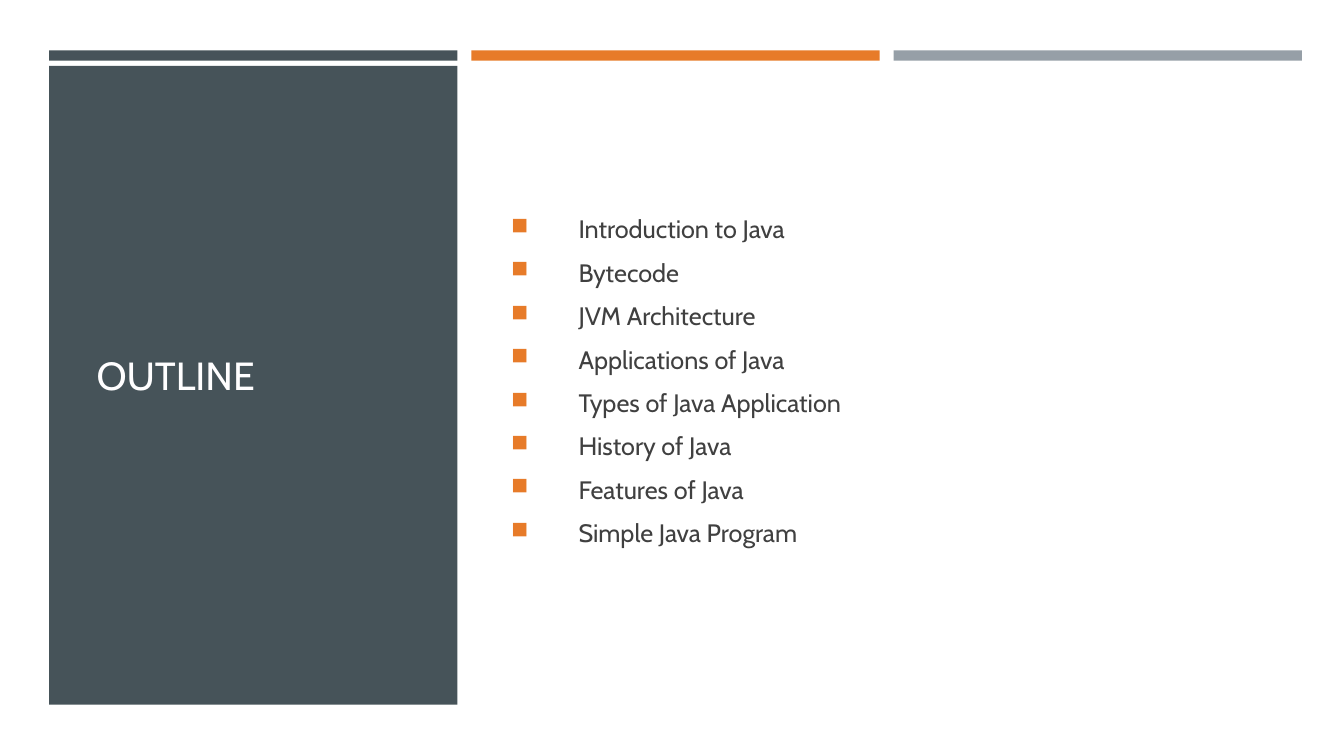
import pptx
import pptx.util
import pptx.dml.color
import pptx.enum.shapes
import pptx.enum.text
import lxml.etree
from pptx.util import Cm

SLATE = pptx.dml.color.RGBColor(0x46, 0x53, 0x59)
ORANGE = pptx.dml.color.RGBColor(0xE7, 0x7B, 0x29)
GREY = pptx.dml.color.RGBColor(0x96, 0x9F, 0xA7)
TITLE_WHITE = pptx.dml.color.RGBColor(0xFF, 0xFE, 0xFF)
BODY_GREY = pptx.dml.color.RGBColor(0x40, 0x40, 0x40)

FONT = "Cabin"
MARGIN, COLUMN_WIDTH, COLUMN_PITCH = 1.24, 10.29, 10.64
TOPICS = [
    "Introduction to Java",
    "Bytecode",
    "JVM Architecture",
    "Applications of Java",
    "Types of Java Application",
    "History of Java",
    "Features of Java",
    "Simple Java Program",
]


def add_block(slide, left, top, height, color):
    block = slide.shapes.add_shape(
        pptx.enum.shapes.MSO_SHAPE.RECTANGLE,
        Cm(left), Cm(top), Cm(COLUMN_WIDTH), Cm(height))
    block.shadow.inherit = False
    block.fill.solid()
    block.fill.fore_color.rgb = color
    block.line.fill.background()


def style_font(paragraph, size, color):
    paragraph.font.name = FONT
    paragraph.font.size = pptx.util.Pt(size)
    paragraph.font.color.rgb = color


def set_frame(frame):
    frame.word_wrap = True
    frame.auto_size = pptx.enum.text.MSO_AUTO_SIZE.NONE
    frame.vertical_anchor = pptx.enum.text.MSO_ANCHOR.MIDDLE


def add_square_bullet(paragraph):
    properties = paragraph._p.get_or_add_pPr()
    properties.set("marL", str(Cm(1.73)))
    properties.set("indent", str(Cm(-1.7)))

    def add(parent, tag, **attributes):
        return lxml.etree.SubElement(parent, pptx.oxml.ns.qn(tag), attributes)

    add(add(properties, "a:buClr"), "a:srgbClr", val=str(ORANGE))
    add(properties, "a:buSzPct", val="92000")
    add(properties, "a:buChar", char="■")


def format_title(title, text):
    title.left, title.top = Cm(2.13), Cm(2.9)
    title.width, title.height = Cm(8.48), Cm(13.08)
    set_frame(title.text_frame)
    heading = title.text_frame.paragraphs[0]
    heading.text = text
    heading.alignment = pptx.enum.text.PP_ALIGN.LEFT
    heading._p.get_or_add_pPr().set("marL", str(Cm(0.05)))
    style_font(heading, 28, TITLE_WHITE)


def add_topic_list(slide, topics):
    frame = slide.shapes.add_textbox(
        Cm(12.6), Cm(2.9), Cm(18.69), Cm(13.39)).text_frame
    set_frame(frame)
    for index, topic in enumerate(topics):
        entry = frame.add_paragraph() if index else frame.paragraphs[0]
        entry.text = topic
        entry.space_before = pptx.util.Pt(3.4 if index else 0)
        entry.space_after = pptx.util.Pt(6)
        add_square_bullet(entry)
        style_font(entry, 18, BODY_GREY)


def main():
    deck = pptx.Presentation()
    deck.slide_width, deck.slide_height = Cm(33.87), Cm(19.05)
    slide = deck.slides.add_slide(deck.slide_layouts[5])

    # Bars across the top
    for column, color in enumerate((SLATE, ORANGE, GREY)):
        add_block(slide, MARGIN + column * COLUMN_PITCH, 1.27, 0.26, color)

    # Title panel, with the title moved in front of it
    add_block(slide, MARGIN, 1.66, 16.1, SLATE)
    title = slide.shapes.title
    format_title(title, "OUTLINE")
    slide.shapes._spTree.append(title._element)

    # Topics
    add_topic_list(slide, TOPICS)

    deck.save("out.pptx")


if __name__ == "__main__":
    main()
